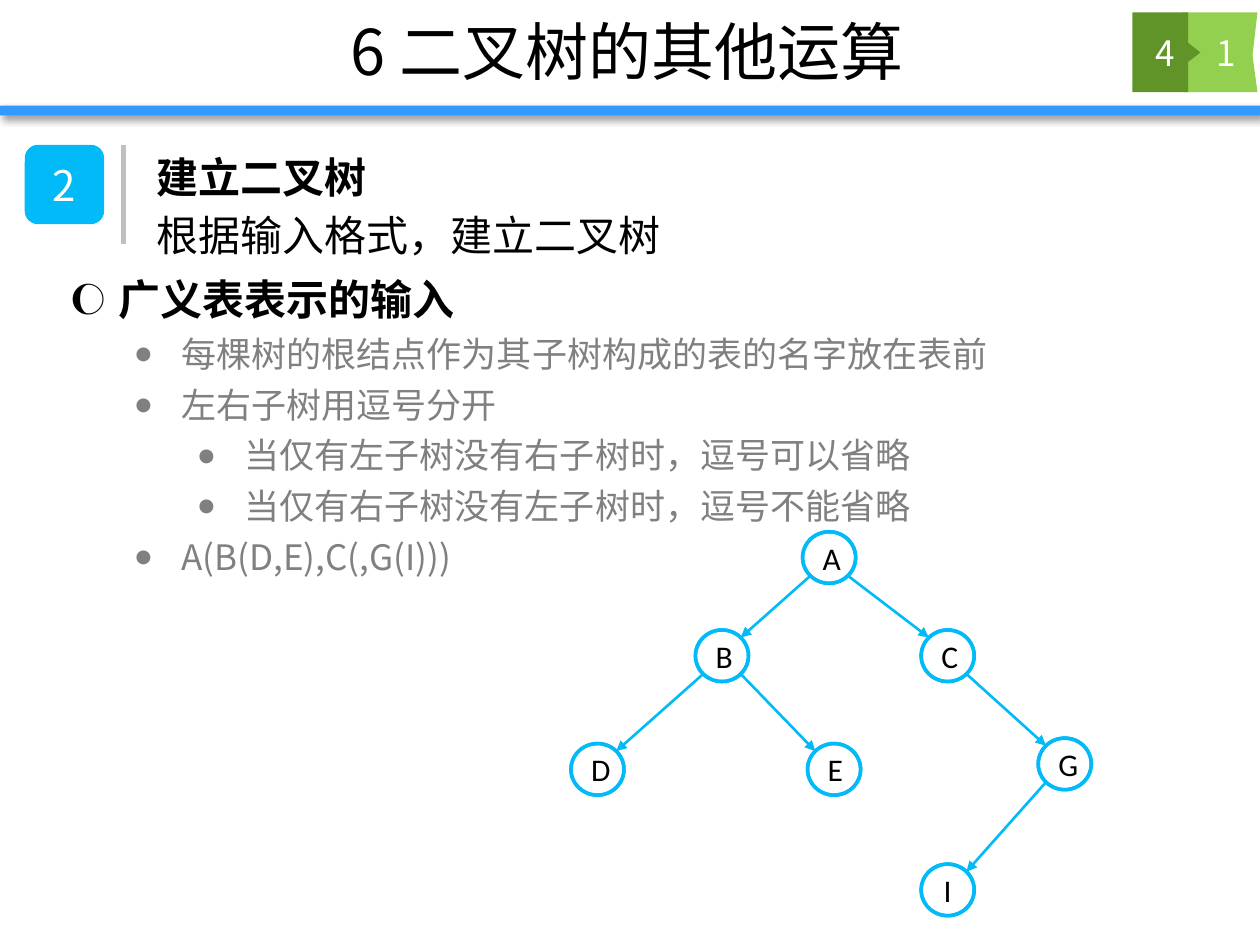
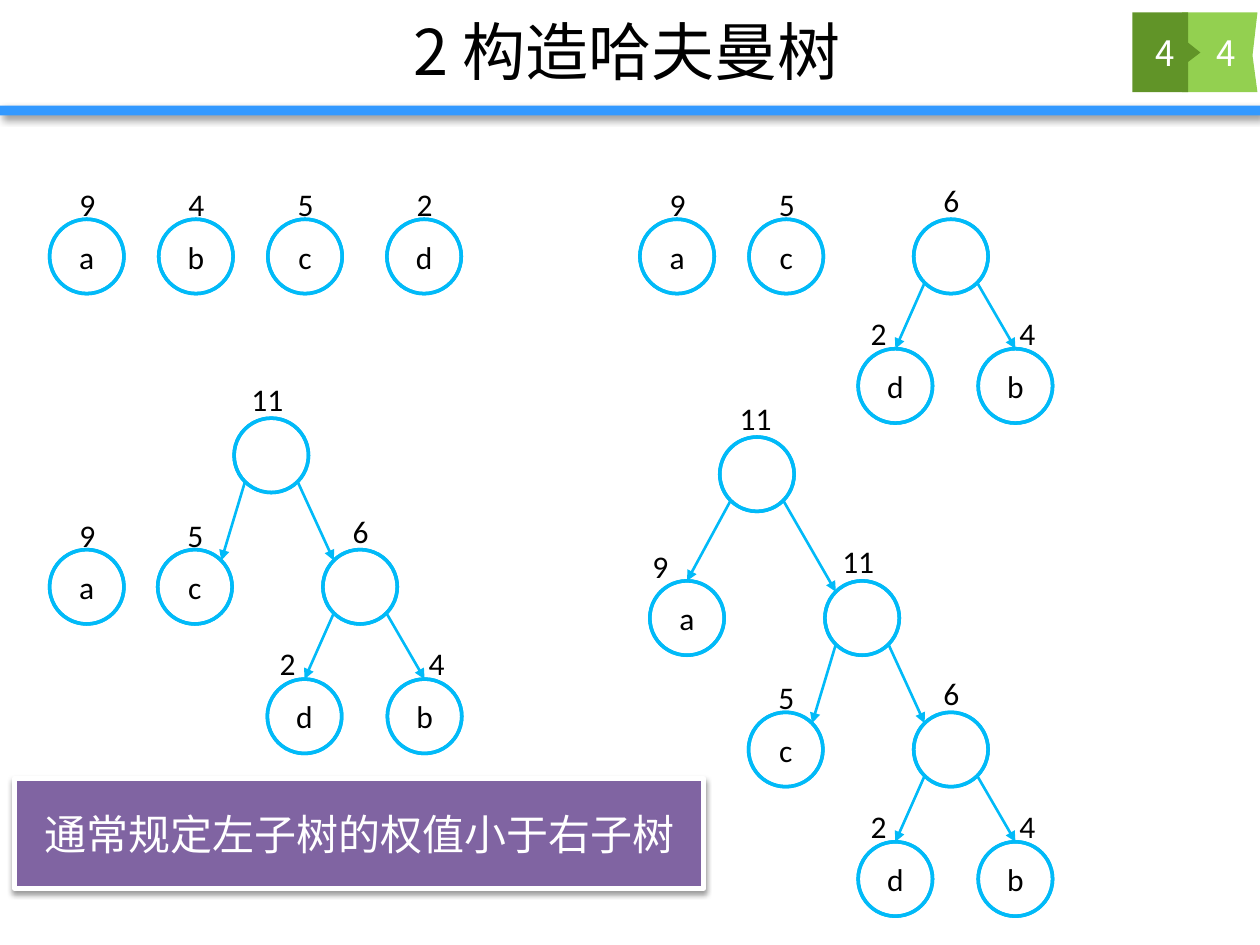
from dataclasses import dataclass

from lxml import etree
from pptx import Presentation
from pptx.dml.color import RGBColor
from pptx.enum.shapes import MSO_CONNECTOR, MSO_SHAPE
from pptx.enum.text import MSO_ANCHOR, PP_ALIGN
from pptx.oxml.ns import qn
from pptx.util import Cm, Pt

STRAIGHT = MSO_CONNECTOR.STRAIGHT
RECTANGLE = MSO_SHAPE.RECTANGLE
ROUNDED = MSO_SHAPE.ROUNDED_RECTANGLE
RING = MSO_SHAPE.DONUT
TOP, MIDDLE = MSO_ANCHOR.TOP, MSO_ANCHOR.MIDDLE
LEFT, CENTER = PP_ALIGN.LEFT, PP_ALIGN.CENTER


@dataclass(frozen=True)
class Theme:
    text_font: str = "Noto Sans CJK SC"
    node_font: str = "Calibri"
    black: str = "000000"
    white: str = "FFFFFF"
    band: str = "3399FF"
    light_green: str = "93D050"
    dark_green: str = "619428"
    number_blue: str = "02BAF8"
    tree_blue: str = "01BAF8"
    divider: str = "BFBFBF"
    grey: str = "808080"
    purple: str = "8064A2"
    title_size: int = 36
    heading_size: int = 24
    body_size: int = 20
    node_size: int = 18
    heading_leading: int = 36
    body_leading: int = 29


THEME = Theme()
CORNER = 0.5 * (1 - 0.5 ** 0.5)  # inset of a circle's diagonal point


def color(value):
    return RGBColor.from_string(value)


def add_bullet(paragraph, character, indent, hanging=0.95):
    properties = paragraph._p.get_or_add_pPr()
    properties.set("marL", str(Cm(indent)))
    properties.set("indent", str(-Cm(hanging)))
    for tag, name, value in (("a:buSzPct", "val", "86000"),
                             ("a:buFont", "typeface", THEME.node_font),
                             ("a:buChar", "char", character)):
        etree.SubElement(properties, qn(tag)).set(name, value)


def write_paragraph(paragraph, text, *, size, ink=THEME.black, font=THEME.text_font,
                    bold=False, align=LEFT, leading=None):
    paragraph.alignment = align
    if leading:
        paragraph.line_spacing = Pt(leading)
    run = paragraph.add_run()
    run.text = text
    run.font.size = Pt(size)
    run.font.bold = bold
    run.font.name = font
    run.font.color.rgb = color(ink)
    east_asian = etree.SubElement(run._r.get_or_add_rPr(), qn("a:ea"))
    east_asian.set("typeface", font)


def write_text(shape, text, *, anchor=TOP, **text_format):
    frame = shape.text_frame
    frame.word_wrap = True
    frame.vertical_anchor = anchor
    write_paragraph(frame.paragraphs[0], text, **text_format)


def add_text(slide, box, text, **text_format):
    shape = slide.shapes.add_textbox(*map(Cm, box))
    write_text(shape, text, **text_format)
    return shape


def style_shape(shape, fill, line=None, line_width=0):
    shape.shadow.inherit = False
    shape.fill.solid()
    shape.fill.fore_color.rgb = color(fill)
    if line:
        shape.line.color.rgb = color(line)
        shape.line.width = Pt(line_width)
    else:
        shape.line.fill.background()


def add_preset(slide, preset, box, fill, **line_format):
    shape = slide.shapes.add_shape(preset, *map(Cm, box))
    style_shape(shape, fill, **line_format)
    return shape


def add_shadow(shape, *, opacity, blur, distance, angle):
    effects = shape._element.spPr.find(qn("a:effectLst"))
    shadow = etree.SubElement(effects, qn("a:outerShdw"), blurRad=str(Pt(blur)),
                              dist=str(Pt(distance)), dir=str(angle * 60000),
                              algn="t", rotWithShape="0")
    ink = etree.SubElement(shadow, qn("a:srgbClr"), val=THEME.black)
    etree.SubElement(ink, qn("a:alpha"), val=str(opacity * 1000))


def add_outline(slide, points, fill):
    start, *others = [(Cm(x), Cm(y)) for x, y in points]
    builder = slide.shapes.build_freeform(*start)
    builder.add_line_segments(others, close=True)
    style_shape(builder.convert_to_shape(), fill)


def add_line(slide, start, end, ink, width, arrow=False):
    line = slide.shapes.add_connector(STRAIGHT, *map(Cm, (*start, *end)))
    line.line.color.rgb = color(ink)
    line.line.width = Pt(width)
    if arrow:
        etree.SubElement(line.line._get_or_add_ln(), qn("a:tailEnd"), type="triangle")
    etree.SubElement(line._element.spPr, qn("a:effectLst"))


def add_node(slide, left, top, text="", width=1.5, height=1.5):
    """Draw a tree node and return its box in centimetres."""
    box = (left, top, width, height)
    shape = add_preset(slide, RING, box, THEME.dark_green,
                       line=THEME.tree_blue, line_width=2)
    shape.adjustments[0] = 0
    if text:
        write_text(shape, text, anchor=MIDDLE, align=CENTER,
                   size=THEME.node_size, font=THEME.node_font)
    return box


def point_on(box, across, down):
    left, top, width, height = box
    return left + across * width, top + down * height


def add_edge(slide, parent, child, to_top=False):
    """Join the parent's lower diagonal point to the child's top or facing upper one."""
    goes_left = child[0] < parent[0]
    near, far = (CORNER, 1 - CORNER) if goes_left else (1 - CORNER, CORNER)
    end = point_on(child, 0.5, 0) if to_top else point_on(child, far, CORNER)
    add_line(slide, point_on(parent, near, 1 - CORNER), end,
             THEME.tree_blue, 1.5, arrow=True)


def add_weighted_node(slide, left, top, weight, text="", shift=0.35, rise=0.81):
    node = add_node(slide, left, top, text)
    width = 0.79 if len(weight) == 1 else 1.45
    add_text(slide, (left + shift, top - rise, width, 1.02), weight,
             size=THEME.node_size, font=THEME.node_font)
    return node


def add_tree_of_six(slide, left, top):
    root = add_weighted_node(slide, left, top, "6", rise=0.89)
    for offset, weight, text, shift in ((-1.12, "2", "d", 0), (1.3, "4", "b", 0.58)):
        leaf = add_weighted_node(slide, left + offset, top + 2.61, weight, text,
                                 shift=shift, rise=0.83)
        add_edge(slide, root, leaf, to_top=True)
    return root


def add_tree_of_eleven(slide, left, top):
    root = add_weighted_node(slide, left, top, "11", shift=0.1, rise=0.9)
    add_edge(slide, root, add_weighted_node(slide, left - 1.54, top + 2.65, "5", "c"))
    add_edge(slide, root, add_tree_of_six(slide, left + 1.79, top + 2.65))
    return root


def add_titled_slide(presentation, title, chapter, section):
    slide = presentation.slides.add_slide(presentation.slide_layouts[5])
    band = add_preset(slide, RECTANGLE, (0, 2.13, 25.4, 0.2), THEME.band)
    add_shadow(band, opacity=40, blur=4, distance=3, angle=45)
    add_outline(slide, [(23.83, 0.25), (25.35, 0.25), (25.25, 1.12),
                        (25.35, 1.86), (23.83, 1.86)], THEME.light_green)
    add_outline(slide, [(22.83, 0.25), (23.95, 0.25), (23.95, 0.86), (24.2, 1.06),
                        (23.95, 1.25), (23.95, 1.86), (22.83, 1.86)], THEME.dark_green)
    heading = slide.shapes.title
    heading.left, heading.top, heading.width, heading.height = map(
        Cm, (2.49, 0.03, 20.29, 1.96))
    write_text(heading, title, size=THEME.title_size, anchor=MIDDLE, align=CENTER)
    for left, number in ((23.93, section), (22.71, chapter)):
        add_text(slide, (left, 0.25, 1.57, 1.6), number, size=THEME.body_size,
                 ink=THEME.white, anchor=MIDDLE, align=CENTER)
    return slide


def add_numbered_heading(slide, number, heading, detail):
    badge = add_preset(slide, ROUNDED, (0.5, 2.92, 1.6, 1.6), THEME.number_blue)
    write_text(badge, number, size=THEME.heading_size, ink=THEME.white,
               anchor=MIDDLE, align=CENTER)
    add_line(slide, (2.49, 2.92), (2.49, 4.92), THEME.divider, 3)
    for top, text, bold in ((2.67, heading, True), (3.84, detail, False)):
        add_text(slide, (2.9, top, 22.4, 1.37), text, bold=bold,
                 size=THEME.heading_size, leading=THEME.heading_leading)


def add_outline_list(slide, box, heading, items):
    shape = slide.shapes.add_textbox(*map(Cm, box))
    frame = shape.text_frame
    frame.word_wrap = True
    first = frame.paragraphs[0]
    add_bullet(first, "🌔", 0.95)
    write_paragraph(first, heading, bold=True, size=THEME.heading_size,
                    leading=THEME.heading_leading)
    for level, text in items:
        paragraph = frame.add_paragraph()
        paragraph.level = level
        add_bullet(paragraph, "●", 0.95 + 1.27 * level)
        write_paragraph(paragraph, text, size=THEME.body_size, ink=THEME.grey,
                        leading=THEME.body_leading)


def add_binary_tree_slide(presentation):
    slide = add_titled_slide(presentation, "6 二叉树的其他运算", "4", "1")
    add_numbered_heading(slide, "2", "建立二叉树", "根据输入格式，建立二叉树")
    add_outline_list(slide, (1.19, 5.13, 19.91, 7.65), "广义表表示的输入", [
        (1, "每棵树的根结点作为其子树构成的表的名字放在表前"),
        (1, "左右子树用逗号分开"),
        (2, "当仅有左子树没有右子树时，逗号可以省略"),
        (2, "当仅有右子树没有左子树时，逗号不能省略"),
        (1, "A(B(D,E),C(,G(I)))"),
    ])
    places = {"A": (16.18, 10.72), "B": (14.02, 12.7), "C": (18.57, 12.7),
              "D": (11.51, 14.99), "E": (16.28, 14.99), "G": (20.93, 14.88),
              "I": (18.57, 17.42)}
    nodes = {name: add_node(slide, *place, name, width=1.07, height=1.04)
             for name, place in places.items()}
    for parent, child in ("AB", "AC", "BD", "BE", "CG", "GI"):
        add_edge(slide, nodes[parent], nodes[child])


def add_huffman_slide(presentation):
    slide = add_titled_slide(presentation, "2 构造哈夫曼树", "4", "4")
    first_row, second_row = 4.42, 11.08
    for left, top, weight, text in (
            (1, first_row, "9", "a"), (3.2, first_row, "4", "b"),
            (5.4, first_row, "5", "c"), (7.8, first_row, "2", "d"),
            (12.9, first_row, "9", "a"), (15.1, first_row, "5", "c"),
            (1, second_row, "9", "a")):
        add_weighted_node(slide, left, top, weight, text)
    add_tree_of_six(slide, 18.42, first_row)
    add_tree_of_eleven(slide, 4.72, 8.43)

    root = add_weighted_node(slide, 14.51, 8.81, "11", shift=0.15, rise=0.89)
    leaf = add_weighted_node(slide, 13.1, 11.71, "9", "a", shift=-0.2)
    add_edge(slide, root, leaf, to_top=True)
    add_edge(slide, root, add_tree_of_eleven(slide, 16.63, 11.71))

    banner = add_preset(slide, RECTANGLE, (0.3, 15.7, 13.89, 2.21), THEME.purple,
                        line=THEME.white, line_width=3)
    add_shadow(banner, opacity=38, blur=3.1, distance=1.6, angle=90)
    write_text(banner, "通常规定左子树的权值小于右子树", size=THEME.heading_size,
               ink=THEME.white, anchor=MIDDLE, align=CENTER)


def main():
    presentation = Presentation()
    presentation.slide_width, presentation.slide_height = Cm(25.4), Cm(19.05)
    add_binary_tree_slide(presentation)
    add_huffman_slide(presentation)
    presentation.save("out.pptx")


if __name__ == "__main__":
    main()
